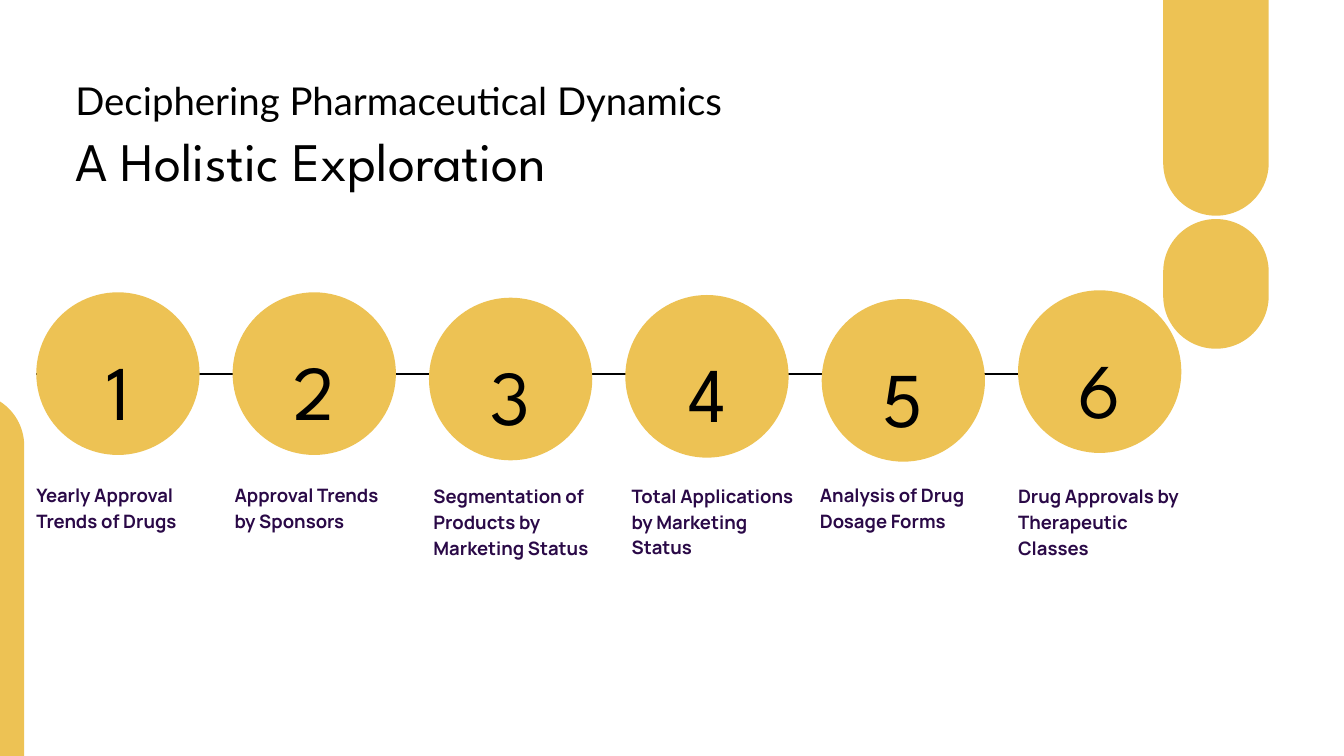
from pptx import Presentation
from pptx.dml.color import RGBColor
from pptx.enum.shapes import MSO_CONNECTOR, MSO_SHAPE
from pptx.enum.text import MSO_ANCHOR, MSO_AUTO_SIZE, PP_ALIGN
from pptx.oxml.ns import qn
from pptx.util import Inches, Pt

GOLD, BLACK, PLUM = "EDC254", "000000", "2A0947"


def color(hex_code):
    return RGBColor.from_string(hex_code)


class SlideBuilder:
    """Holds the text styles and the slide being built."""

    # font, size, line spacing, colour, bold, alignment
    STYLES = {
        "title": ("Lato", 41.1, 57.5, BLACK, False, PP_ALIGN.LEFT),
        "subtitle": ("League Spartan", 58.1, 81.4, BLACK, False, PP_ALIGN.LEFT),
        "number": ("League Spartan", 83, 116.3, BLACK, False, PP_ALIGN.CENTER),
        "label": ("Manrope", 19.8, 27.7, PLUM, True, PP_ALIGN.LEFT),
    }

    def __init__(self, slide):
        self.slide = slide

    def fill_text(self, shape, text, style):
        font_name, size, spacing, hex_code, bold, align = self.STYLES[style]
        frame = shape.text_frame
        frame_format = {
            "word_wrap": True, "auto_size": MSO_AUTO_SIZE.NONE,
            "vertical_anchor": MSO_ANCHOR.TOP, "margin_left": 0,
            "margin_top": 0, "margin_right": 0, "margin_bottom": 0,
        }
        for key, value in frame_format.items():
            setattr(frame, key, value)
        paragraph = frame.paragraphs[0]
        paragraph.alignment = align
        paragraph.line_spacing = Pt(spacing)
        run = paragraph.add_run()
        run.text = text
        for key, value in {"name": font_name, "size": Pt(size), "bold": bold}.items():
            setattr(run.font, key, value)
        run.font.color.rgb = color(hex_code)

    def title(self, text, left, top, width, height):
        heading = self.slide.shapes.title
        box = {"left": left, "top": top, "width": width, "height": height}
        for key, value in box.items():
            setattr(heading, key, Inches(value))
        self.fill_text(heading, text, "title")

    def text(self, text, style, *box):
        self.fill_text(self.slide.shapes.add_textbox(*map(Inches, box)), text, style)

    def solid(self, preset, *box):
        shape = self.slide.shapes.add_shape(preset, *map(Inches, box))
        shape.shadow.inherit = False
        shape.fill.solid()
        shape.fill.fore_color.rgb = color(GOLD)
        shape.line.fill.background()
        return shape

    def pill(self, *box):
        self.solid(MSO_SHAPE.ROUNDED_RECTANGLE, *box).adjustments[0] = 0.5

    def line(self, *ends):
        connector = self.slide.shapes.add_connector(
            MSO_CONNECTOR.STRAIGHT, *map(Inches, ends))
        connector.line.color.rgb = color(BLACK)
        connector.line.width = Pt(2.25)
        properties = connector._element.spPr
        properties.append(properties.makeelement(qn("a:effectLst"), {}))

    def step(self, number, left, top):
        self.solid(MSO_SHAPE.OVAL, left, top, CIRCLE_WIDTH, CIRCLE_HEIGHT)
        self.text(str(number), "number", left + 0.41, top + 0.52, 1.61, 1.57)


CIRCLE_WIDTH, CIRCLE_HEIGHT = 2.43, 2.42
FIRST_LEFT, LAST_LEFT = 0.54, 15.15

# circle top, label left, label top, label height, label
STEPS = [
    (4.35, 0.54, 7.15, 0.76, "Yearly Approval Trends of Drugs"),
    (4.35, 3.49, 7.15, 0.76, "Approval Trends by Sponsors"),
    (4.43, 6.45, 7.17, 1.16, "Segmentation of Products by Marketing Status"),
    (4.39, 9.4, 7.16, 1.16, "Total Applications by Marketing Status"),
    (4.45, 12.2, 7.15, 0.76, "Analysis of Drug Dosage Forms"),
    (4.32, 15.15, 7.17, 1.16, "Drug Approvals by Therapeutic Classes"),
]
STEP_PITCH = (LAST_LEFT - FIRST_LEFT) / (len(STEPS) - 1)


def main():
    deck = Presentation()
    deck.slide_width, deck.slide_height = Inches(20), Inches(11.25)
    builder = SlideBuilder(deck.slides.add_slide(deck.slide_layouts[5]))

    builder.line(0.54, 5.57, 17.56, 5.57)
    for pill_box in [(17.31, -3.22, 1.57, 6.43), (17.31, 3.26, 1.57, 1.93),
                     (-1.21, 5.85, 1.57, 6.43)]:
        builder.pill(*pill_box)

    builder.title("Deciphering Pharmaceutical Dynamics", 1.12, 1.03, 9.98, 0.73)
    builder.text("A Holistic Exploration", "subtitle", 1.12, 1.73, 9.04, 1.1)

    for index, (top, label_left, label_top, label_height, label) in enumerate(STEPS):
        builder.step(index + 1, FIRST_LEFT + index * STEP_PITCH, top)
        builder.text(label, "label", label_left, label_top, CIRCLE_WIDTH, label_height)

    deck.save("out.pptx")


if __name__ == "__main__":
    main()
